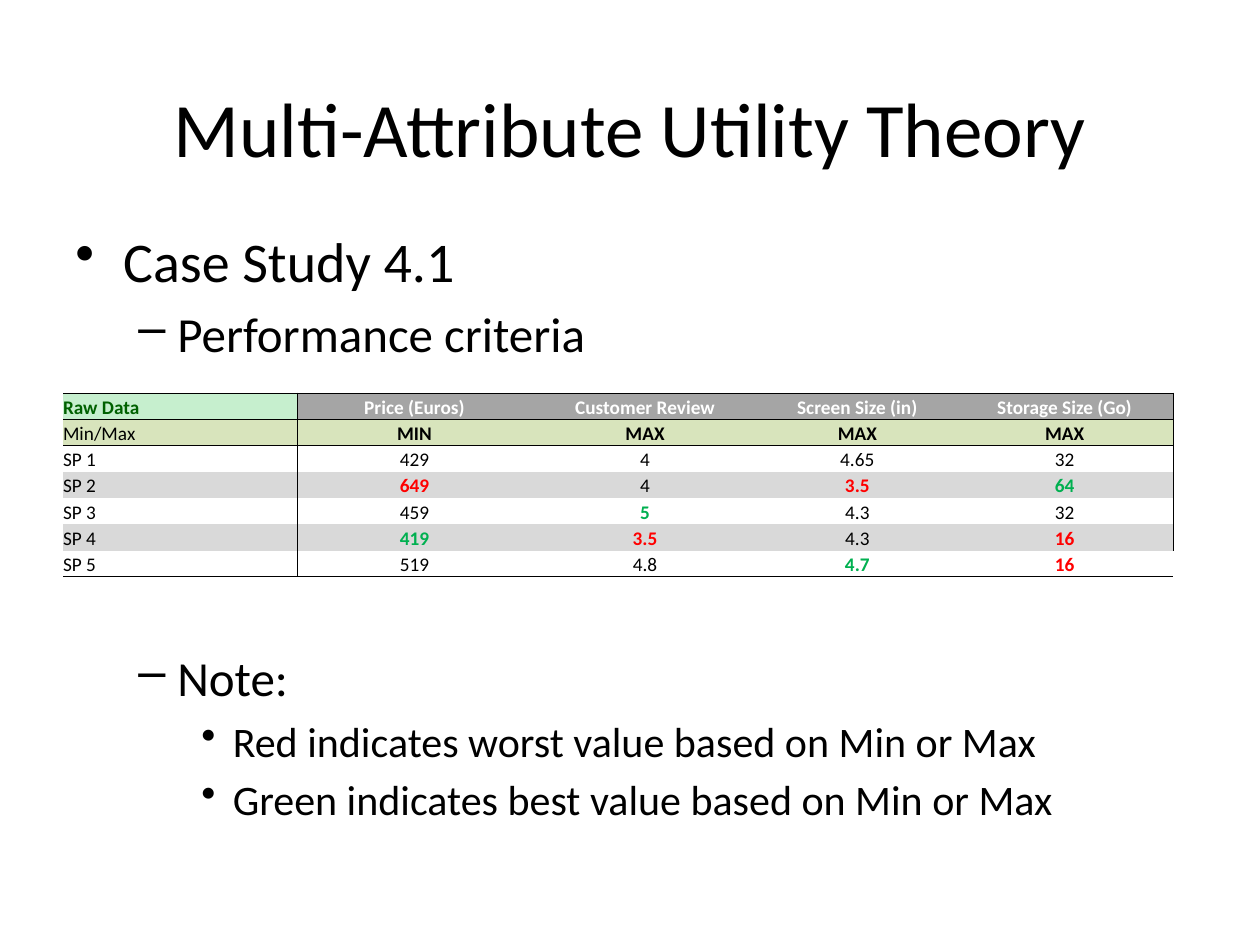
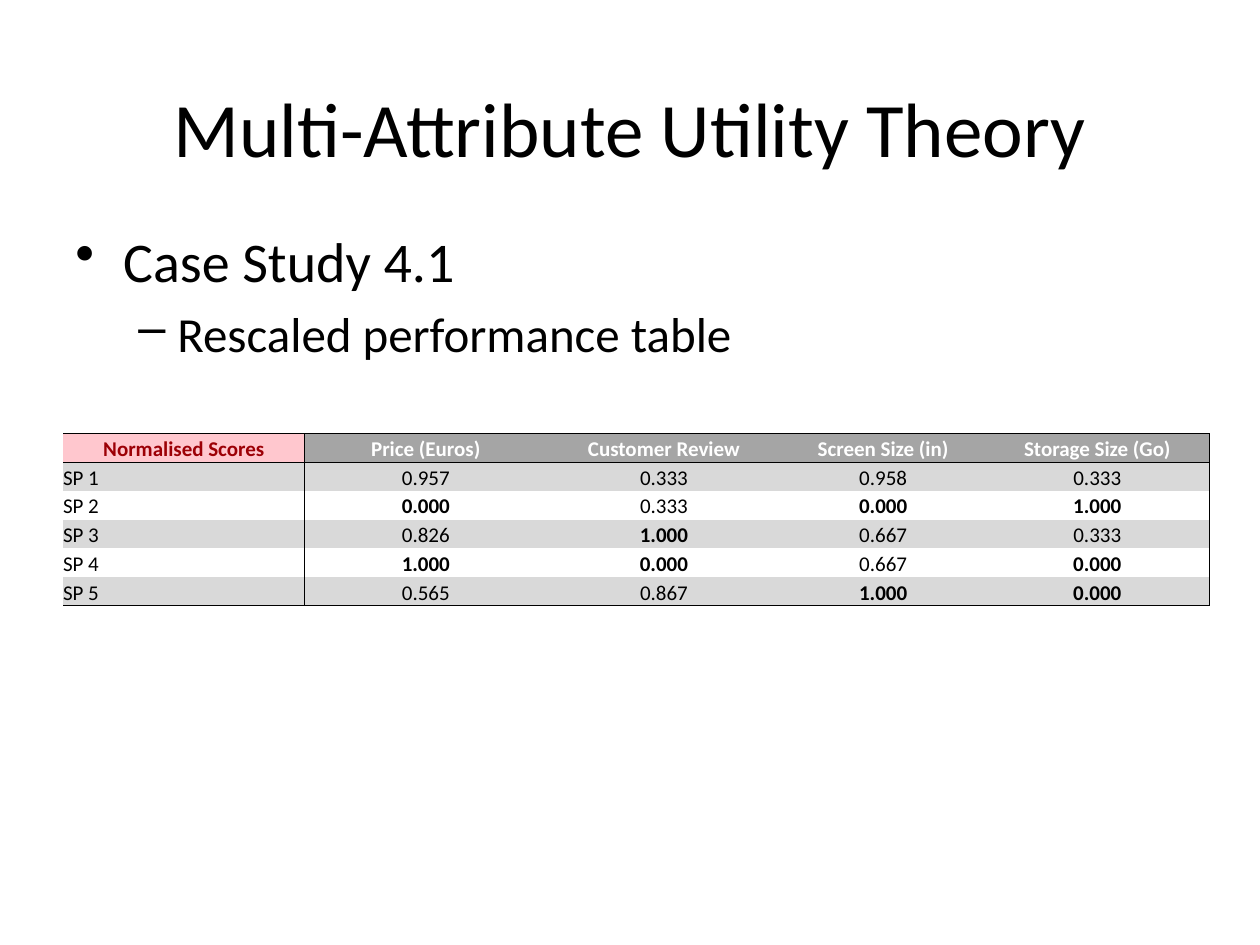
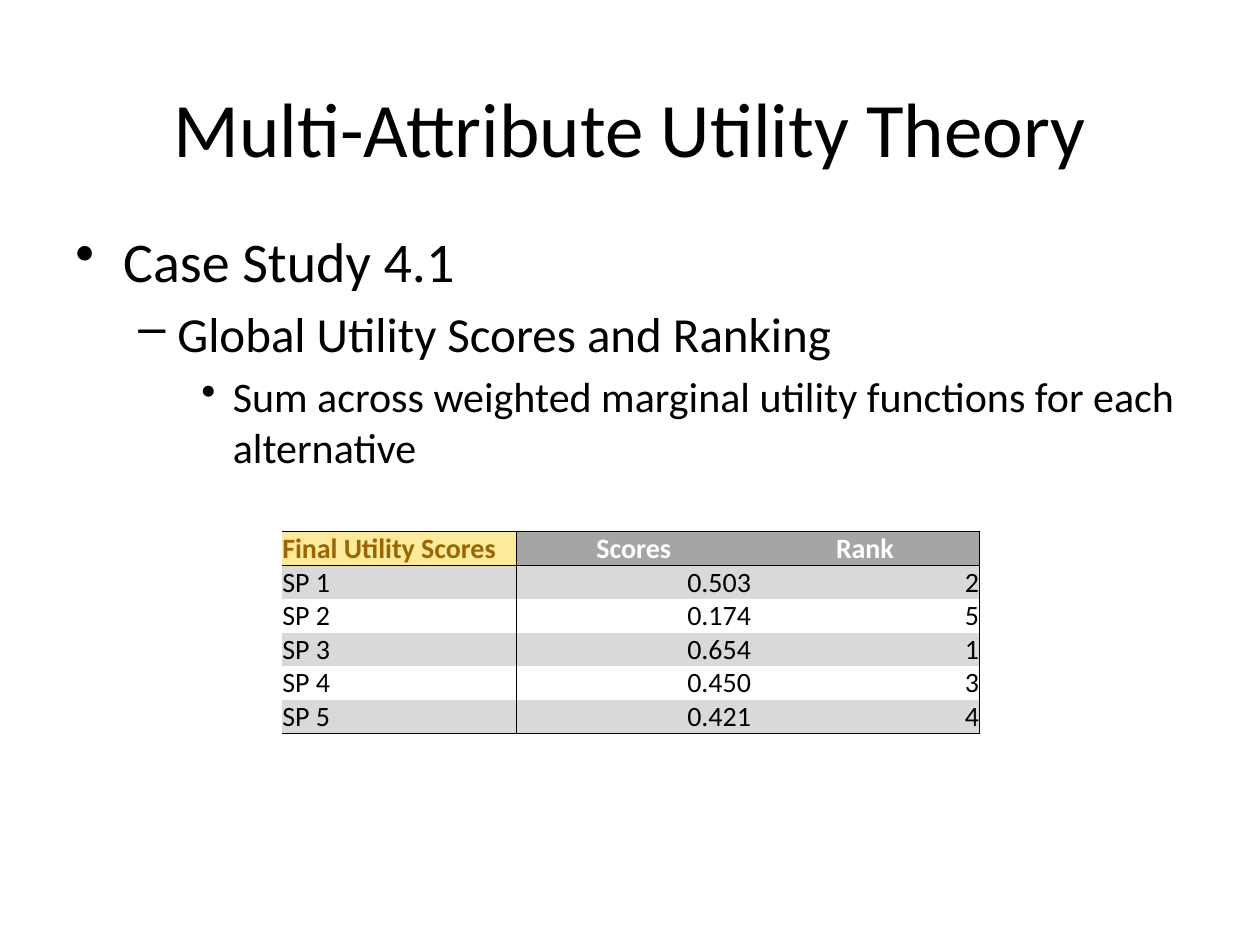
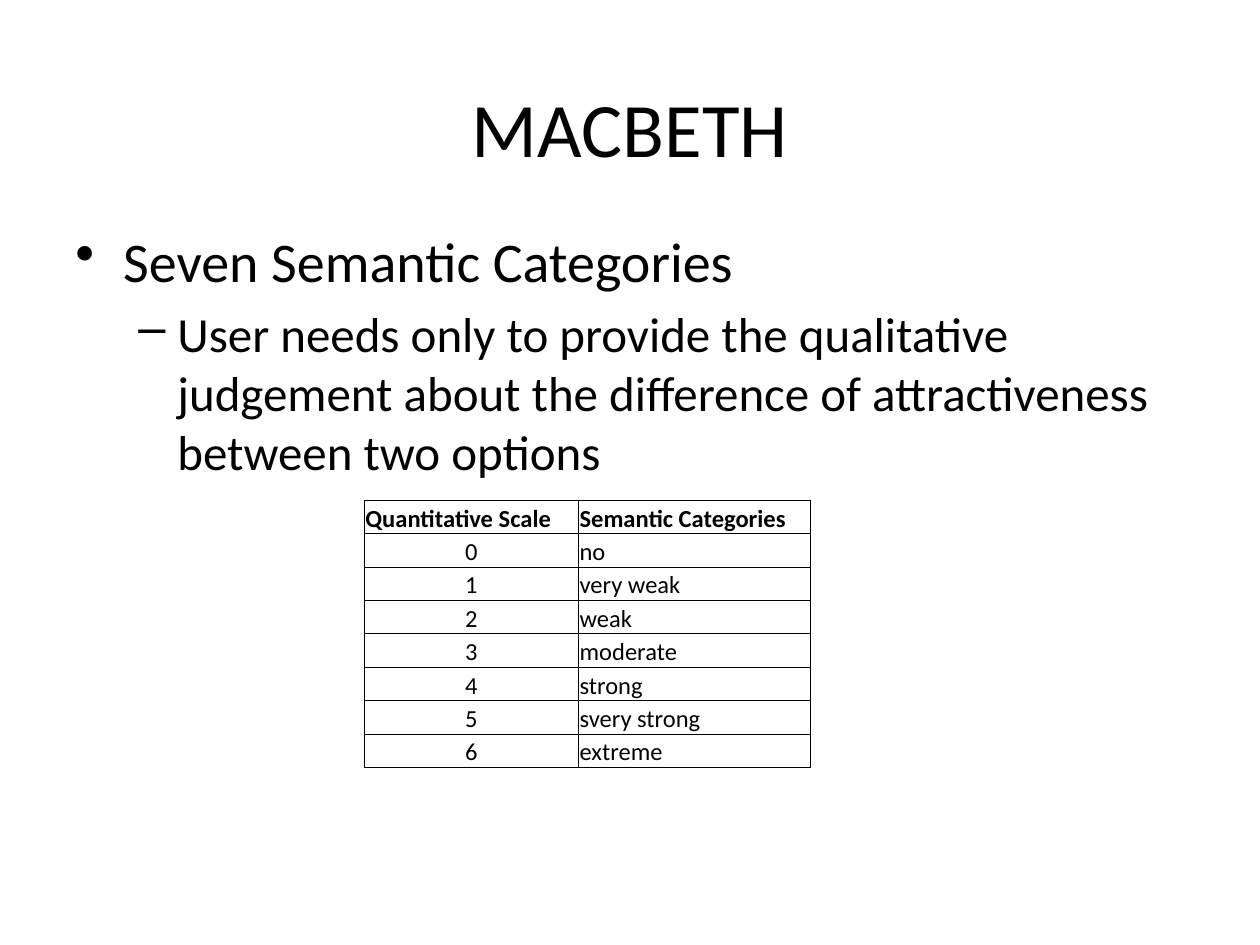
from lxml import etree
from pptx import Presentation
from pptx.dml.color import RGBColor
from pptx.enum.text import MSO_ANCHOR, PP_ALIGN
from pptx.oxml.ns import qn
from pptx.util import Inches, Pt

BOTTOM, MIDDLE = MSO_ANCHOR.BOTTOM, MSO_ANCHOR.MIDDLE
LEFT, CENTER, RIGHT = PP_ALIGN.LEFT, PP_ALIGN.CENTER, PP_ALIGN.RIGHT

FONT = "Calibri"
COLORS = {
    "black": "000000", "white": "FFFFFF", "header": "A5A5A5", "band": "D9D9D9",
    "criteria": "D8E4BC", "worst": "FF0000", "best": "00B050",
    "green_text": "006100", "green_fill": "C6EFCE",
    "red_text": "9C0006", "red_fill": "FFC7CE",
    "amber_text": "9C6500", "amber_fill": "FFEB9C",
}
LEVELS = [
    {"size": 32, "bullet": "•", "margin": 0.38, "hang": 0.38, "before": 6.4},
    {"size": 28, "bullet": "–", "margin": 0.81, "hang": 0.31, "before": 5.6},
    {"size": 24, "bullet": "•", "margin": 1.25, "hang": 0.25, "before": 4.8},
]
MAUT = "Multi-Attribute Utility Theory"
CASE = "Case Study 4.1"
PHONES = [f"SP {i}" for i in range(1, 6)]
CRITERIA = ["Price (Euros)", "Customer Review", "Screen Size (in)", "Storage Size (Go)"]


class Deck:
    """Holds the shared style and the current slide."""

    def __init__(self):
        self.prs = Presentation()
        self.prs.slide_width, self.prs.slide_height = Inches(10), Inches(7.5)
        self.s = None

    def font(self, p, size, color="black", bold=False):
        f = p.font
        f.name, f.size, f.bold = FONT, Pt(size), bold
        f.color.rgb = RGBColor.from_string(COLORS[color])

    def slide(self, title):
        self.s = self.prs.slides.add_slide(self.prs.slide_layouts[5])
        sp = self.s.shapes.title
        sp.left, sp.top, sp.width, sp.height = map(Inches, (0.5, 0.38, 9, 1.25))
        tf = sp.text_frame
        tf.text, tf.vertical_anchor = title, MIDDLE
        tf.paragraphs[0].alignment = CENTER
        self.font(tf.paragraphs[0], 44)

    def outline(self, *items):
        sp = self.s.shapes.add_textbox(*map(Inches, (0.5, 1.75, 9, 4.95)))
        tf = sp.text_frame
        tf.word_wrap = True
        for i, (level, text, *gap) in enumerate(items):
            p = tf.add_paragraph() if i else tf.paragraphs[0]
            style = LEVELS[level]
            p.text, p.level = text, level
            p.space_before = Pt(gap[0] if gap else style["before"])
            self.font(p, style["size"])
            pPr = p._p.get_or_add_pPr()
            pPr.set("marL", str(Inches(style["margin"])))
            pPr.set("indent", str(-Inches(style["hang"])))
            bullet = etree.Element(qn("a:buChar"), char=style["bullet"])
            pPr.find(qn("a:defRPr")).addprevious(bullet)

    def table(self, left, top, height, widths, rows, size, xs, ys, look, inset=0):
        """Draw rows with rules at column edges xs and row edges ys."""
        n = len(rows)
        frame = self.s.shapes.add_table(n, len(widths), Inches(left), Inches(top),
                                        Inches(sum(widths)), Inches(height))
        t = frame.table
        t.first_row = t.horz_banding = False
        for col, width in zip(t.columns, widths):
            col.width = Inches(width)
        for row in t.rows:
            row.height = Inches(height / n)
        for r, values in enumerate(rows):
            for c, text in enumerate(values):
                cell = t.cell(r, c)
                align, color, bold, fill = look(r, c, text)
                cell.margin_left = cell.margin_right = cell.margin_top = Inches(inset)
                cell.margin_bottom = 0
                cell.vertical_anchor = BOTTOM
                p = cell.text_frame.paragraphs[0]
                p.text, p.alignment = text, align
                self.font(p, size, color, bold)
                self.borders(cell, L=c in xs, R=c + 1 in xs, T=r in ys, B=r + 1 in ys)
                if fill:
                    cell.fill.solid()
                    cell.fill.fore_color.rgb = RGBColor.from_string(COLORS[fill])
                else:
                    cell.fill.background()
        return t

    def borders(self, cell, **sides):
        tcPr = cell._tc.get_or_add_tcPr()
        for side, shown in sides.items():
            ln = tcPr.find(qn(f"a:ln{side}"))
            if ln is None:
                ln = etree.SubElement(tcPr, qn(f"a:ln{side}"))
            ln.clear()
            ln.set("w", str(Pt(0.5)))
            if shown:
                fill = etree.SubElement(ln, qn("a:solidFill"))
                etree.SubElement(fill, qn("a:srgbClr"), val=COLORS["black"])
            else:
                etree.SubElement(ln, qn("a:noFill"))


def header_look(c, accent, corner_align=LEFT):
    if c == 0:
        return corner_align, f"{accent}_text", True, f"{accent}_fill"
    return CENTER, "white", True, "header"


def label_rows(rows):
    return [[name, *values] for name, values in zip(PHONES, rows)]


raw = [
    ["429", "4", "4.65", "32"],
    ["649", "4", "3.5", "64"],
    ["459", "5", "4.3", "32"],
    ["419", "3.5", "4.3", "16"],
    ["519", "4.8", "4.7", "16"],
]
goals = ["MIN", "MAX", "MAX", "MAX"]


def raw_look(r, c, text):
    if r == 0:
        return header_look(c, "green")
    align = CENTER if c else LEFT
    if r == 1:
        return align, "black", c > 0, "criteria"
    color = "black"
    if c:
        ranked = sorted((row[c - 1] for row in raw), key=float, reverse=goals[c - 1] == "MAX")
        color = {ranked[0]: "best", ranked[-1]: "worst"}.get(text, "black")
    return align, color, color != "black", "band" if r % 2 else None


def score_look(r, c, text):
    if r == 0:
        return header_look(c, "red", CENTER)
    return CENTER if c else LEFT, "black", text in ("0.000", "1.000"), "band" if r % 2 else None


def rank_look(r, c, text):
    if r == 0:
        return header_look(c, "amber")
    return RIGHT if c else LEFT, "black", False, "band" if r % 2 else None


def scale_look(r, c, text):
    return CENTER if r and c == 0 else LEFT, "black", r == 0, None


deck = Deck()

deck.slide(MAUT)
deck.outline((0, CASE), (1, "Performance criteria"), (1, "Note:", 163),
             (2, "Red indicates worst value based on Min or Max"),
             (2, "Green indicates best value based on Min or Max"))
t = deck.table(0.5, 3.12, 1.46, [1.86, 1.86, 1.8, 1.57, 1.72],
               [["Raw Data", *CRITERIA], ["Min/Max", *goals], *label_rows(raw)],
               11, {1, 5}, {0, 1, 2, 7}, raw_look)
deck.borders(t.cell(6, 4), R=False)

deck.slide(MAUT)
deck.outline((0, CASE), (1, "Rescaled performance table"))
scores = [
    ["0.957", "0.333", "0.958", "0.333"],
    ["0.000", "0.333", "0.000", "1.000"],
    ["0.826", "1.000", "0.667", "0.333"],
    ["1.000", "0.000", "0.667", "0.000"],
    ["0.565", "0.867", "1.000", "0.000"],
]
deck.table(0.5, 3.44, 1.37, [1.92, 1.92, 1.86, 1.62, 1.78],
           [["Normalised Scores", *CRITERIA], *label_rows(scores)],
           12, {1, 5}, {0, 1, 6}, score_look)

deck.slide(MAUT)
deck.outline((0, CASE), (1, "Global Utility Scores and Ranking"),
             (2, "Sum across weighted marginal utility functions for each alternative"))
ranks = [["0.503", "2"], ["0.174", "5"], ["0.654", "1"], ["0.450", "3"], ["0.421", "4"]]
deck.table(2.24, 4.22, 1.6, [1.86, 1.86, 1.81],
           [["Final Utility Scores", "Scores", "Rank"], *label_rows(ranks)],
           16, {1, 3}, {0, 1, 6}, rank_look)

deck.slide("MACBETH")
deck.outline((0, "Seven Semantic Categories"),
             (1, "User needs only to provide the qualitative judgement about the "
                 "difference of attractiveness between two options"))
categories = ["no", "very weak", "weak", "moderate", "strong", "svery strong", "extreme"]
deck.table(2.89, 3.97, 2.12, [1.7, 1.84],
           [["Quantitative Scale", "Semantic Categories"],
            *([str(i), name] for i, name in enumerate(categories))],
           14, range(3), range(9), scale_look, 0.01)

deck.prs.save("out.pptx")
